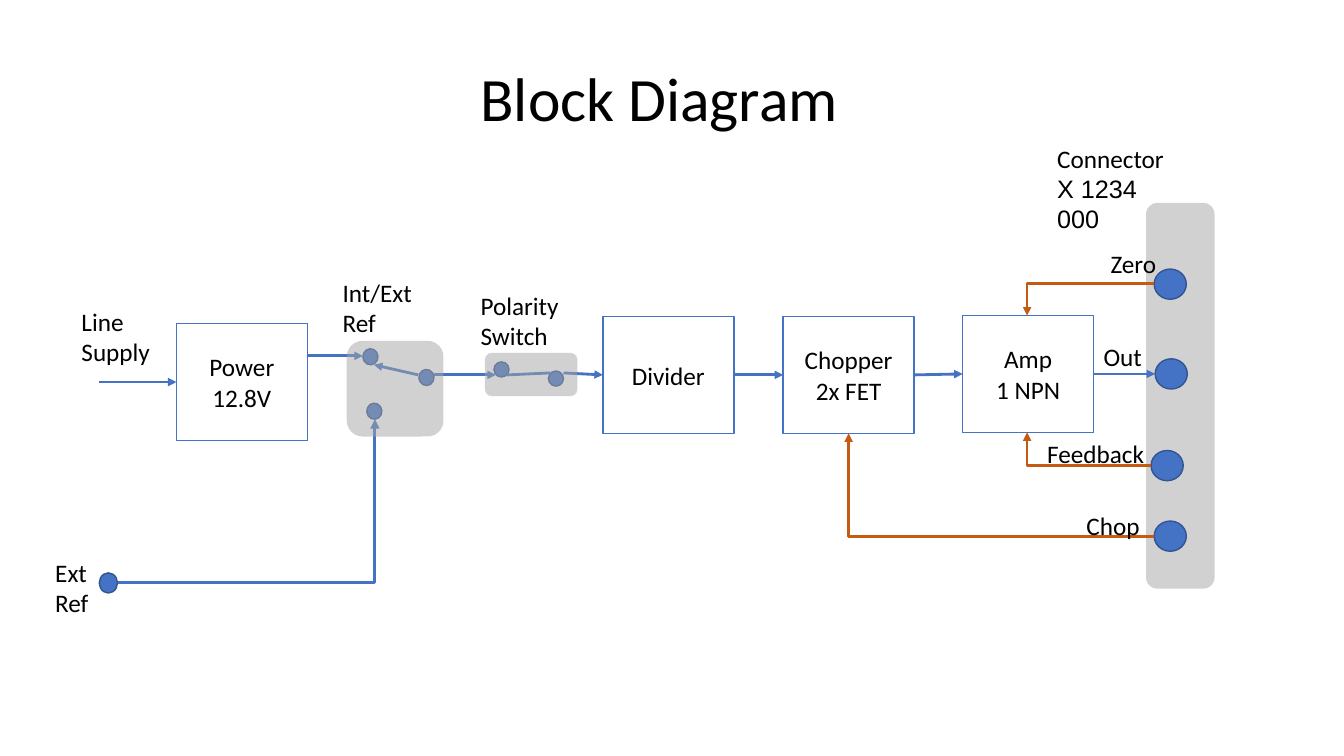
"""Build the block diagram slide of a switched reference supply."""
from dataclasses import dataclass

from pptx import Presentation
from pptx.dml.color import RGBColor
from pptx.enum import shapes, text
from pptx.oxml import ns
from pptx.util import Pt
from lxml import etree

BLUE = RGBColor(0x44, 0x72, 0xC4)
DARK_BLUE = RGBColor(0x32, 0x54, 0x91)
ORANGE = RGBColor(0xC5, 0x5A, 0x11)
GREY = RGBColor(0xA5, 0xA5, 0xA5)
WHITE = RGBColor(0xFF, 0xFF, 0xFF)
BLACK = RGBColor(0, 0, 0)
FONT = "Calibri"
BLOCK_W, BLOCK_H = 93.6, 83.5
MSO = shapes.MSO_SHAPE


@dataclass
class Block:
    lines: list[str]
    x: float
    y: float


@dataclass
class Label:
    lines: list[str]
    x: float
    y: float
    w: float
    h: float = 29
    last_font: str = FONT


@dataclass
class Dot:
    x: float
    y: float
    w: float
    h: float
    turn: float = 0


@dataclass
class Panel:
    x: float
    y: float
    w: float
    h: float


@dataclass
class Wire:
    x1: float
    y1: float
    x2: float
    y2: float
    color: RGBColor = BLUE
    bent: bool = False
    arrow: bool = True
    width: float = 2


BLOCKS = [
    Block(["Power 12.8V"], 126, 231.1),
    Block(["Divider"], 430.6, 226.1),
    Block(["Chopper", "2x FET"], 559.4, 226.1),
    Block(["Amp", "1 NPN"], 687.6, 225.4),
]
SWITCH_DOTS = [
    Dot(352.8, 258.5, 10.8, 10.8),
    Dot(391.7, 265, 10.8, 10.8),
    Dot(259.2, 249.1, 10.8, 11.5, 355.8),
    Dot(299.2, 263.9, 10.8, 11.5, 355.8),
    Dot(262, 288, 10.8, 11.5, 355.8),
    Dot(70.9, 409.2, 13, 14.4),
]
SWITCH_WIRES = [
    Wire(70.6, 272.9, 126, 272.9),
    Wire(393.1, 266.4, 362.2, 267.8, arrow=False),
    Wire(219.6, 254.2, 259.2, 254.2),
    Wire(402.5, 266.4, 430.6, 267.8),
    Wire(298.8, 267.8, 267.1, 260.6),
    Wire(84.2, 416.2, 267.8, 299.5, bent=True, width=2.25),
    Wire(310.3, 267.8, 354.2, 267.8),
]
PANELS = [
    Panel(818.6, 144.9, 49, 275.6),
    Panel(346.3, 252, 66.2, 31),
    Panel(247.7, 243.4, 69.1, 68.4),
]
PINS = [
    Dot(824.4, 192.2, 23, 21.6),
    Dot(825.1, 256.3, 23, 21.6),
    Dot(822.2, 321.8, 23, 21.6),
    Dot(824.4, 372.2, 23, 21.6),
]
SIGNAL_WIRES = [
    Wire(824.4, 202.3, 733.7, 225.4, ORANGE, bent=True),
    Wire(780.8, 267.1, 825.1, 267.1),
    Wire(824.4, 383, 606.2, 309.6, ORANGE, bent=True),
    Wire(822.2, 332.6, 733.7, 308.9, ORANGE, bent=True),
    Wire(524.2, 267.8, 559.4, 267.8),
    Wire(652.5, 267.8, 687.6, 267.1),
]
LABELS = [
    Label(["Line", "Supply"], 51.1, 215.3, 64.1, 51),
    Label(["Polarity", "Switch"], 336.2, 203.8, 70.6, 51),
    Label(["Int/Ext", "Ref"], 237.6, 194.4, 64.1, 51),
    Label(["Ext", "Ref"], 32.4, 394.6, 38.9, 51),
    Label(["Zero"], 786.2, 173.5, 47.5),
    Label(["Out"], 781.2, 240.5, 42.5),
    Label(["Feedback"], 740.9, 309.6, 84.2),
    Label(["Chop"], 769, 360.7, 53.3),
    Label(["Connector", "X 1234 000"], 748.1, 98.6, 105.8, 51, "Arial"),
]


def write(tf, lines: list[str], align, size: float = 18, last_font: str = FONT) -> None:
    """Fill a text frame with one paragraph per line."""
    for i, line in enumerate(lines):
        p = tf.add_paragraph() if i else tf.paragraphs[0]
        p.alignment = align
        r = p.add_run()
        r.text = line
        r.font.name = last_font if i == len(lines) - 1 else FONT
        r.font.size = Pt(size)
        r.font.color.rgb = BLACK


def add_filled(s, kind, x: float, y: float, w: float, h: float, fill: RGBColor,
               line: RGBColor | None = None):
    """Add a flat preset shape with an optional outline."""
    sp = s.shapes.add_shape(kind, Pt(x), Pt(y), Pt(w), Pt(h))
    sp.shadow.inherit = False
    sp.fill.solid()
    sp.fill.fore_color.rgb = fill
    if line is None:
        sp.line.fill.background()
    else:
        sp.line.color.rgb = line
        sp.line.width = Pt(1)
    return sp


def add_block(s, block: Block) -> None:
    """Add a white stage of the diagram with centred text."""
    sp = add_filled(s, MSO.RECTANGLE, block.x, block.y, BLOCK_W, BLOCK_H, WHITE, BLUE)
    sp.text_frame.word_wrap = True
    sp.text_frame.vertical_anchor = text.MSO_ANCHOR.MIDDLE
    write(sp.text_frame, block.lines, text.PP_ALIGN.CENTER)


def add_dot(s, dot: Dot) -> None:
    """Add a round contact or pin."""
    sp = add_filled(s, MSO.OVAL, dot.x, dot.y, dot.w, dot.h, BLUE, DARK_BLUE)
    sp.rotation = dot.turn


def add_panel(s, panel: Panel) -> None:
    """Add a half-transparent rounded panel."""
    sp = add_filled(s, MSO.ROUNDED_RECTANGLE, panel.x, panel.y, panel.w, panel.h, GREY)
    color = sp.fill._xPr.find(".//" + ns.qn("a:srgbClr"))
    etree.SubElement(color, ns.qn("a:alpha"), val="50000")


def add_wire(s, wire: Wire) -> None:
    """Add a straight or right-angled wire, with an arrowhead if wanted."""
    kind = shapes.MSO_CONNECTOR.ELBOW if wire.bent else shapes.MSO_CONNECTOR.STRAIGHT
    c = s.shapes.add_connector(kind, Pt(wire.x1), Pt(wire.y1), Pt(wire.x2), Pt(wire.y2))
    c.line.color.rgb = wire.color
    c.line.width = Pt(wire.width)
    props = c._element.spPr
    if wire.bent:
        props.find(ns.qn("a:prstGeom")).set("prst", "bentConnector2")
    if wire.arrow:
        etree.SubElement(props.find(ns.qn("a:ln")), ns.qn("a:tailEnd"), type="triangle")
    etree.SubElement(props, ns.qn("a:effectLst"))


def add_label(s, label: Label) -> None:
    """Add a free-standing caption."""
    tf = s.shapes.add_textbox(Pt(label.x), Pt(label.y), Pt(label.w), Pt(label.h)).text_frame
    tf.word_wrap = False
    tf.auto_size = text.MSO_AUTO_SIZE.SHAPE_TO_FIT_TEXT
    write(tf, label.lines, text.PP_ALIGN.LEFT, last_font=label.last_font)


def add_title(s) -> None:
    """Add the slide heading."""
    tf = s.shapes.add_textbox(Pt(336.2), Pt(20.2), Pt(331.2), Pt(104.4)).text_frame
    tf.word_wrap = True
    tf.vertical_anchor = text.MSO_ANCHOR.MIDDLE
    write(tf, ["Block Diagram"], text.PP_ALIGN.LEFT, 44)
    tf.paragraphs[0].line_spacing = 0.9


def main() -> None:
    """Draw the slide from back to front and save it."""
    prs = Presentation()
    prs.slide_width, prs.slide_height = Pt(960), Pt(540)
    s = prs.slides.add_slide(prs.slide_layouts[6])
    add_title(s)
    for add, items in (
        (add_block, BLOCKS), (add_dot, SWITCH_DOTS), (add_wire, SWITCH_WIRES),
        (add_panel, PANELS), (add_dot, PINS), (add_wire, SIGNAL_WIRES), (add_label, LABELS),
    ):
        for item in items:
            add(s, item)
    prs.save("out.pptx")


if __name__ == "__main__":
    main()
